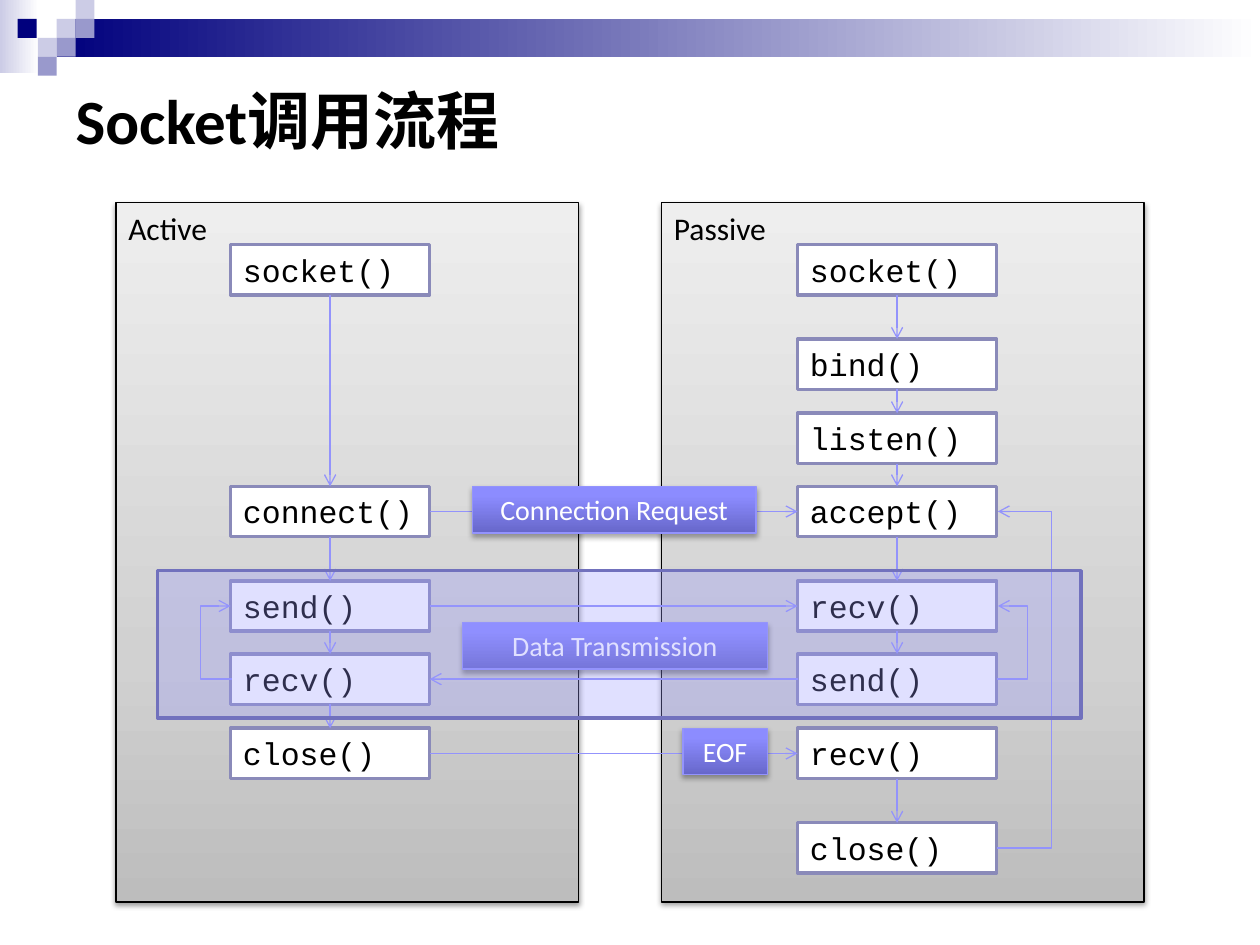
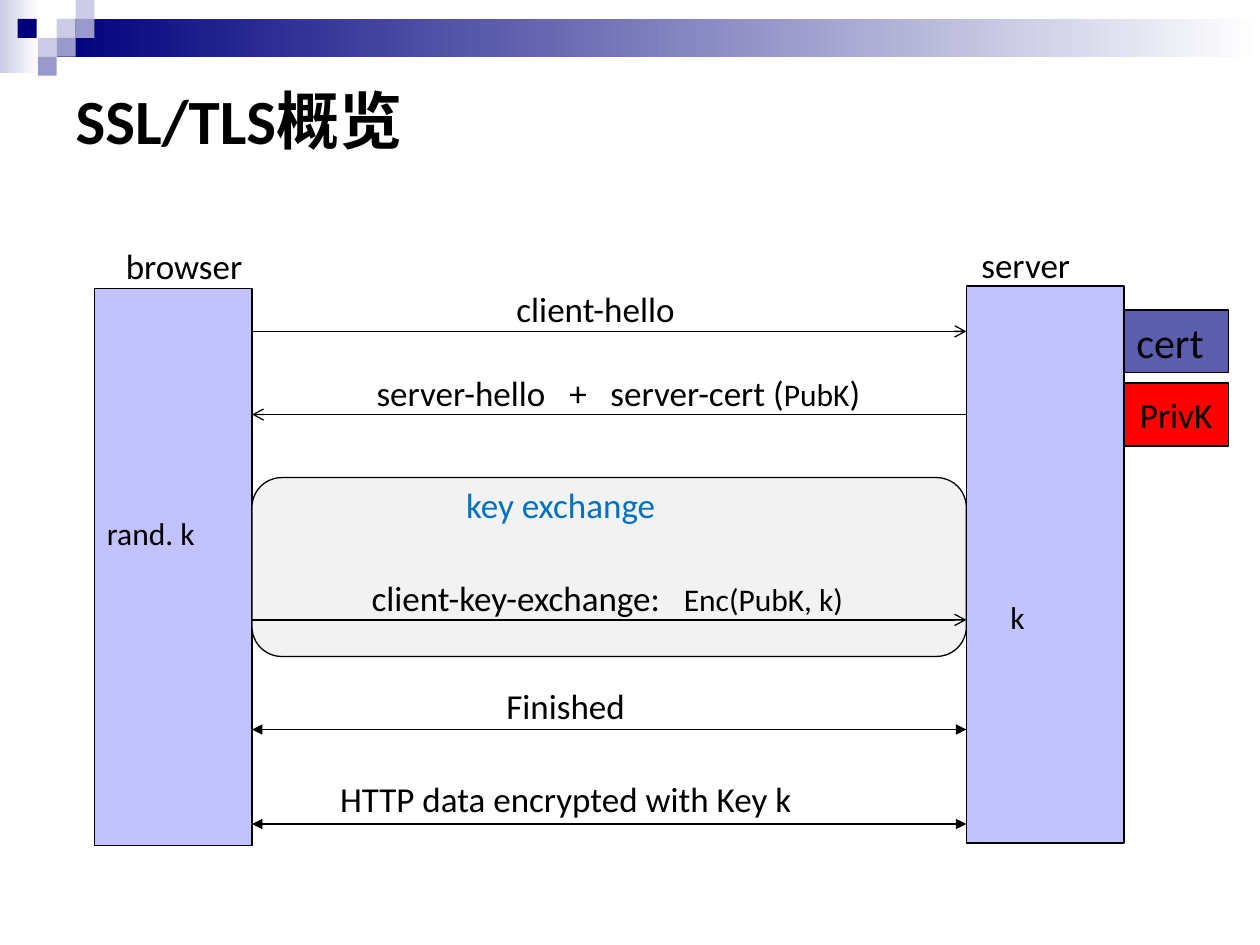
from dataclasses import dataclass

from lxml.etree import SubElement
from pptx import Presentation
from pptx.dml.color import RGBColor
from pptx.enum.shapes import MSO_CONNECTOR as Line, MSO_SHAPE as Preset
from pptx.enum.text import MSO_ANCHOR as Anchor, MSO_AUTO_SIZE as AutoSize, PP_ALIGN as Align
from pptx.oxml.ns import qn
from pptx.util import Inches, Pt


@dataclass(frozen=True)
class Theme:
    sans: str = "Calibri"
    mono: str = "Courier New"
    title_size: int = 36
    cert_size: int = 24
    message_size: int = 20
    body_size: int = 18
    label_size: int = 16
    black: str = "000000"
    white: str = "FFFFFF"
    navy: str = "00007D"
    lavender: str = "9999CC"
    pale: str = "CCCCE6"
    call_line: str = "8A8AB9"
    arrow: str = "9393FC"
    overlay: str = "9999FF"
    overlay_line: str = "7171BD"
    host: str = "C2C2FF"
    cert: str = "5D5DAE"
    secret: str = "FF0000"
    exchange: str = "F2F2F2"
    exchange_text: str = "0070C0"
    panel_stops: tuple = ((0, "BDBDBD"), (35, "D1D1D1"), (100, "EEEEEE"))
    label_stops: tuple = ((0, "6767CA"), (80, "8C8CFF"), (100, "8E8EFF"))
    thin: float = 0.75
    thick: float = 2


THEME = Theme()
TOP, LEFT, BOTTOM, RIGHT = range(4)
UPWARD, RIGHTWARD = 90, 0
WIDE_GAP = " "  # a run of this alone is drawn with extra spacing


def add_node(parent, tag, **attributes):
    node = SubElement(parent, qn(tag))
    for name, value in attributes.items():
        node.set(name, str(value))
    return node


class SlideBuilder:
    def __init__(self, theme):
        self.theme = theme
        self.deck = Presentation()
        self.deck.slide_width, self.deck.slide_height = Inches(10), Inches(7.5)
        self.page = None

    def new_page(self, title):
        theme = self.theme
        self.page = self.deck.slides.add_slide(self.deck.slide_layouts[5])
        self.corner_band()
        box = self.page.shapes.title
        place = {"left": 0.5, "top": 0.5, "width": 9, "height": 0.89}
        for name, value in place.items():
            setattr(box, name, Inches(value))
        self.set_text(box, title, size=theme.title_size, bold=True, anchor=Anchor.MIDDLE)

    def corner_band(self):
        theme = self.theme
        self.box((0, 0, 0.31, 0.58), ((0, theme.pale), (100, theme.white)), angle=RIGHTWARD)
        self.box((0.45, 0.15, 9.55, 0.3), ((0, theme.navy), (100, theme.white)), angle=RIGHTWARD)
        tiles = {
            theme.pale: [(0.45, 0.15), (0.6, 0), (0.3, 0.3)],
            theme.lavender: [(0.6, 0.15), (0.45, 0.3), (0.3, 0.45)],
            theme.navy: [(0.14, 0.15)],
        }
        for color, corners in tiles.items():
            for left, top in corners:
                self.box((left, top, 0.15, 0.15), color)

    def set_text(self, box, text, size, color=None, font=None, bold=False,
                 align=Align.LEFT, anchor=Anchor.TOP, wrap=True):
        """Fill a box with a string, or with a list of strings and (string, size) pairs."""
        frame = box.text_frame
        frame_format = {"word_wrap": wrap, "auto_size": AutoSize.NONE, "vertical_anchor": anchor}
        for name, value in frame_format.items():
            setattr(frame, name, value)
        para = frame.paragraphs[0]
        para.alignment = align
        for part in [text] if isinstance(text, str) else text:
            words, part_size = (part, size) if isinstance(part, str) else part
            span = para.add_run()
            span.text = words
            span_format = {"name": font or self.theme.sans, "size": Pt(part_size), "bold": bold}
            for name, value in span_format.items():
                setattr(span.font, name, value)
            span.font.color.rgb = RGBColor.from_string(color or self.theme.black)
            if words == WIDE_GAP:
                span._r.get_or_add_rPr().set("spc", "900")

    def box(self, place, fill, line=None, weight=THEME.thin, angle=UPWARD,
            preset=Preset.RECTANGLE, alpha=None):
        """Draw a shape whose fill is one colour or a tuple of gradient stops."""
        shape = self.page.shapes.add_shape(preset, *map(Inches, place))
        shape.shadow.inherit = False
        if isinstance(fill, str):
            shape.fill.solid()
            shape.fill.fore_color.rgb = RGBColor.from_string(fill)
        else:
            self.gradient(shape, fill, angle)
        if alpha:
            color = shape._element.spPr.find(".//" + qn("a:srgbClr"))
            add_node(color, "a:alpha", val=alpha * 1000)
        if line:
            self.stroke(shape, line, weight)
        else:
            shape.line.fill.background()
        return shape

    def gradient(self, shape, stops, angle):
        shape.fill.gradient()
        shape.fill.gradient_angle = angle
        stop_list = shape._element.spPr.find(".//" + qn("a:gsLst"))
        for stop in list(stop_list):
            stop_list.remove(stop)
        for position, color in stops:
            stop = add_node(stop_list, "a:gs", pos=position * 1000)
            add_node(stop, "a:srgbClr", val=color)

    def stroke(self, shape, color, weight):
        shape.line.color.rgb = RGBColor.from_string(color)
        shape.line.width = Pt(weight)

    def drop_shadow(self, shape, alpha, distance):
        effects = shape._element.spPr.find(qn("a:effectLst"))
        shadow = add_node(effects, "a:outerShdw", blurRad=Pt(3.1), dist=Pt(distance),
                          dir=5400000, rotWithShape=0)
        color = add_node(shadow, "a:srgbClr", val=self.theme.black)
        add_node(color, "a:alpha", val=alpha * 1000)

    def panel(self, place, name):
        shape = self.box(place, self.theme.panel_stops, self.theme.black)
        self.drop_shadow(shape, 38, 1.6)
        self.set_text(shape, name, self.theme.body_size)

    def call(self, left, top, name):
        theme = self.theme
        shape = self.box((left, top, 1.58, 0.4), theme.white, theme.call_line, theme.thick)
        self.set_text(shape, name, theme.body_size, font=theme.mono)
        return shape

    def label(self, left, top, width, text):
        theme = self.theme
        shape = self.box((left, top, width, 0.37), theme.label_stops, theme.arrow)
        self.drop_shadow(shape, 35, 1.8)
        self.set_text(shape, text, theme.label_size, theme.white, align=Align.CENTER)

    def text(self, place, words, size=THEME.message_size, color=None, wrap=False):
        box = self.page.shapes.add_textbox(*map(Inches, place))
        self.set_text(box, words, size, color, wrap=wrap)

    def arrow(self, start, end, color, kind=Line.STRAIGHT, head=None, tail="arrow"):
        connector = self.page.shapes.add_connector(kind, *map(Inches, start + end))
        self.stroke(connector, color, self.theme.thin)
        stroke = connector._element.spPr.find(qn("a:ln"))
        for tag, tip in {"a:headEnd": head, "a:tailEnd": tail}.items():
            if tip:
                add_node(stroke, tag, type=tip)
        add_node(connector._element.spPr, "a:effectLst")
        return connector

    def link(self, source, source_side, target, target_side):
        connector = self.arrow((0, 0), (1, 1), self.theme.arrow)
        connector.begin_connect(source, source_side)
        connector.end_connect(target, target_side)

    def loop_back(self, x, start_y, end_y, reach):
        """Return to an earlier call; a negative reach bulges to the left."""
        step = 0.01 if reach > 0 else -0.01
        connector = self.arrow((x, start_y), (x + step, end_y), self.theme.arrow, Line.ELBOW)
        geometry = connector._element.spPr.find(qn("a:prstGeom"))
        adjust = geometry.find(qn("a:avLst"))
        if adjust is None:
            adjust = add_node(geometry, "a:avLst")
        add_node(adjust, "a:gd", name="adj1", fmla=f"val {round(reach / step * 100000)}")


def socket_flow(builder):
    theme = builder.theme
    builder.new_page("Socket调用流程")
    builder.panel((5.25, 1.61, 3.83, 5.55), "Passive")
    builder.panel((0.92, 1.61, 3.67, 5.55), "Active")

    rows = (1.94, 2.69, 3.28, 3.86, 4.61, 5.19, 5.78, 6.53)
    middles = [top + 0.2 for top in rows]
    active_calls = {0: "socket()", 3: "connect()", 4: "send()", 5: "recv()", 6: "close()"}
    passive_calls = dict(enumerate(("socket()", "bind()", "listen()", "accept()",
                                    "recv()", "send()", "recv()", "close()")))
    active, passive = (
        {row: builder.call(left, rows[row], name) for row, name in calls.items()}
        for left, calls in ((1.83, active_calls), (6.33, passive_calls)))

    for column, breaks in ((active, ()), (passive, (5,))):
        order = list(column)
        for row, following in zip(order, order[1:]):
            if row not in breaks:
                builder.link(column[row], BOTTOM, column[following], TOP)
    for row in (3, 4, 6):
        builder.link(active[row], RIGHT, passive[row], LEFT)
    builder.link(passive[5], LEFT, active[5], RIGHT)

    builder.loop_back(1.84, middles[5], middles[4], -0.25)
    builder.loop_back(7.91, middles[5], middles[4], 0.25)
    builder.loop_back(7.91, middles[7], middles[3], 0.44)

    builder.label(5.42, rows[6], 0.67, "EOF")
    builder.label(3.75, rows[3], 2.25, "Connection Request")
    builder.label(3.67, 4.94, 2.42, "Data Transmission")
    builder.box((1.25, 4.53, 7.33, 1.17), theme.overlay, theme.overlay_line, theme.thick, alpha=30)


def tls_overview(builder):
    theme = builder.theme
    browser_edge, server_edge = 2, 7.67
    builder.new_page("SSL/TLS概览")
    builder.box((0.75, 2.29, 1.25, 4.42), theme.host, theme.black)
    builder.box((browser_edge, 3.79, server_edge - browser_edge, 1.42), theme.exchange,
                theme.black, preset=Preset.ROUNDED_RECTANGLE)
    builder.box((server_edge, 2.27, 1.25, 4.42), theme.host, theme.black)

    certificate = builder.box((8.92, 2.46, 0.83, 0.5), theme.cert, theme.black)
    builder.set_text(certificate, "cert", theme.cert_size)
    private_key = builder.box((8.92, 3.04, 0.83, 0.5), theme.secret, theme.black)
    builder.set_text(private_key, "PrivK", theme.message_size,
                     align=Align.CENTER, anchor=Anchor.MIDDLE)

    to_server = {"tail": "arrow"}
    to_browser = {"head": "arrow", "tail": None}
    both_ways = {"head": "triangle", "tail": "triangle"}
    small = theme.body_size
    messages = (
        (2.63, to_server, (4, 2.23, 1.48), "client-hello"),
        (3.29, to_browser, (2.89, 2.9, 4.1),
         ["server-hello", WIDE_GAP, "+", WIDE_GAP, "server-cert (", ("PubK", small), ")"]),
        (4.92, to_server, (2.85, 4.53, 4.15),
         ["client-key-exchange:", WIDE_GAP, ("Enc(PubK, k)", small)]),
        (5.79, both_ways, (3.92, 5.38, 1.15), "Finished"),
        (6.54, both_ways, (2.6, 6.12, 3.82), "HTTP data encrypted with Key k"),
    )
    for y, tips, place, words in messages:
        builder.arrow((browser_edge, y), (server_edge, y), theme.black, **tips)
        builder.text(place + (0.44,), words)

    builder.text((0.9, 1.89, 1.14, 0.44), "browser")
    builder.text((7.69, 1.88, 0.92, 0.44), "server")
    builder.text((3.6, 3.79, 1.72, 0.44), "key exchange", color=theme.exchange_text)
    builder.text((0.75, 4.03, 1.25, 0.4), "rand. k", small, wrap=True)
    builder.text((7.92, 4.7, 0.32, 0.4), "k", small)


def main():
    builder = SlideBuilder(THEME)
    socket_flow(builder)
    tls_overview(builder)
    builder.deck.save("out.pptx")


if __name__ == "__main__":
    main()
